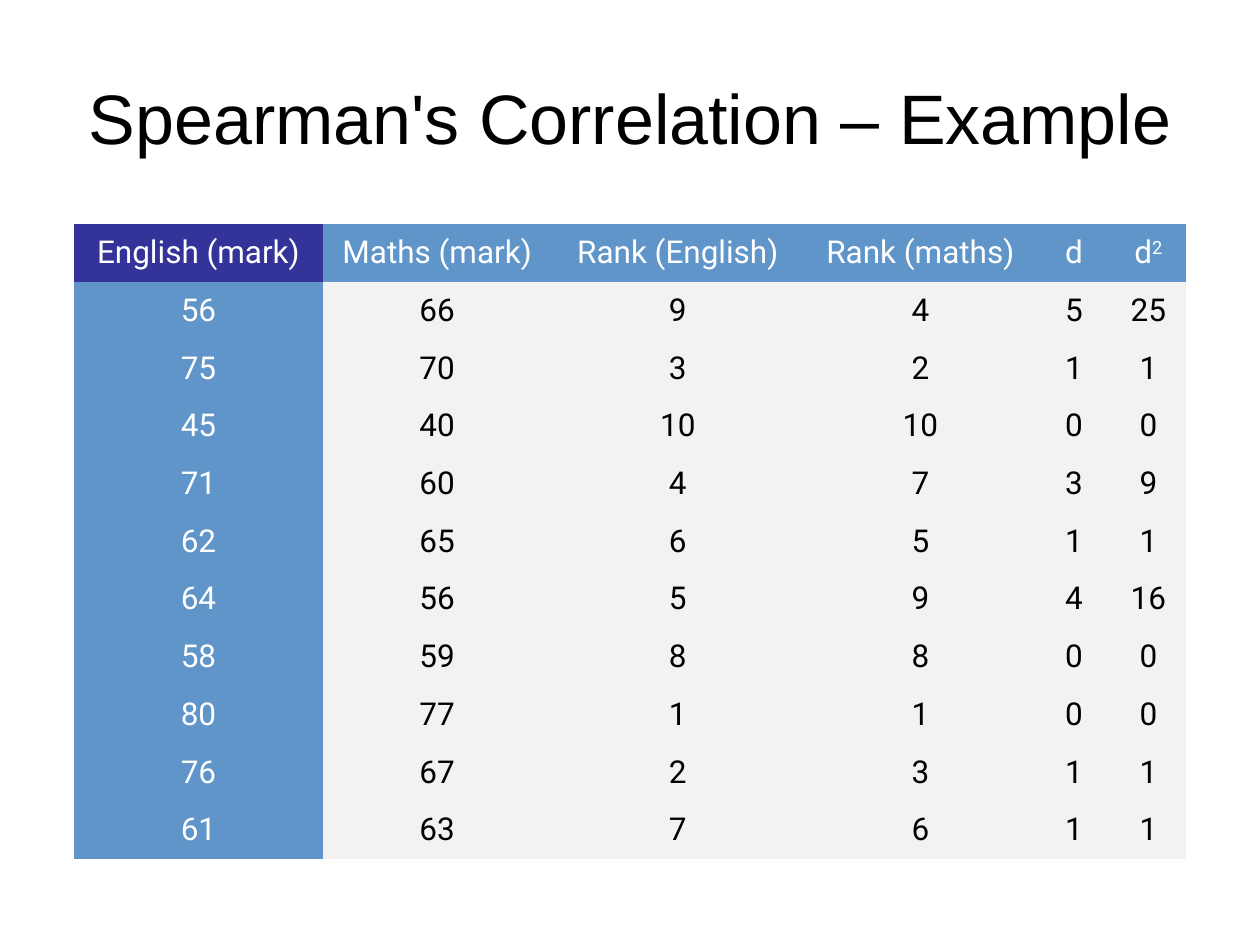
from pptx import Presentation
from pptx.dml.color import RGBColor
from pptx.enum.text import MSO_ANCHOR as Anchor, PP_ALIGN as Align
from pptx.oxml.ns import qn
from pptx.util import Inches, Pt

BLACK = RGBColor(0x00, 0x00, 0x00)
WHITE = RGBColor(0xFF, 0xFF, 0xFF)
INDIGO = RGBColor(0x33, 0x33, 0x99)
BLUE = RGBColor(0x60, 0x95, 0xCA)
GREY = RGBColor(0xF2, 0xF2, 0xF2)
PLAIN_STYLE = "{2D5ABB26-0587-4C30-8999-92F81FD0307C}"  # no style, no grid

HEADERS = ["English (mark)", "Maths (mark)", "Rank (English)", "Rank (maths)", "d", "d"]
COLUMN_WIDTHS = [1.97, 1.82, 2, 1.85, 0.59, 0.59]
# English mark, maths mark, English rank, maths rank
STUDENTS = [
    (56, 66, 9, 4),
    (75, 70, 3, 2),
    (45, 40, 10, 10),
    (71, 60, 4, 7),
    (62, 65, 6, 5),
    (64, 56, 5, 9),
    (58, 59, 8, 8),
    (80, 77, 1, 1),
    (76, 67, 2, 3),
    (61, 63, 7, 6),
]


def style_paragraph(para, font_name, size, color):
    para.alignment = Align.CENTER
    para.font.name = font_name
    para.font.size = Pt(size)
    para.font.color.rgb = color


deck = Presentation()
deck.slide_width, deck.slide_height = Inches(10), Inches(7.5)
page = deck.slides.add_slide(deck.slide_layouts[6])

# Title
title_box = page.shapes.add_textbox(Inches(0.5), Inches(0.3), Inches(9), Inches(1.25))
title_box.text_frame.word_wrap = True
title_box.text_frame.vertical_anchor = Anchor.MIDDLE
title = title_box.text_frame.paragraphs[0]
title.text = "Spearman's Correlation – Example"
style_paragraph(title, "Arial", 40, BLACK)

# Rank differences and their squares follow from the ranks
rows = [HEADERS]
for english, maths, english_rank, maths_rank in STUDENTS:
    difference = abs(english_rank - maths_rank)
    rows.append([english, maths, english_rank, maths_rank, difference, difference ** 2])

# Table
frame = page.shapes.add_table(len(rows), len(HEADERS), Inches(0.59), Inches(1.78),
                              Inches(sum(COLUMN_WIDTHS)), Inches(5.04))
table = frame.table
table.first_row = table.horz_banding = False
table._tbl.tblPr.find(qn("a:tableStyleId")).text = PLAIN_STYLE
for column, width in zip(table.columns, COLUMN_WIDTHS):
    column.width = Inches(width)

for row_index, row in enumerate(rows):
    for column_index, value in enumerate(row):
        is_heading = row_index == 0 or column_index == 0
        cell = table.cell(row_index, column_index)
        cell.vertical_anchor = Anchor.MIDDLE
        cell.fill.solid()
        cell.fill.fore_color.rgb = BLUE if is_heading else GREY
        para = cell.text_frame.paragraphs[0]
        para.text = str(value)
        style_paragraph(para, "Roboto", 18, WHITE if is_heading else BLACK)

# Corner cell and the superscript in the last heading
table.cell(0, 0).fill.fore_color.rgb = INDIGO
span = table.cell(0, len(HEADERS) - 1).text_frame.paragraphs[0].add_run()
span.text = "2"
span.font._element.set("baseline", "30000")

deck.save("out.pptx")
